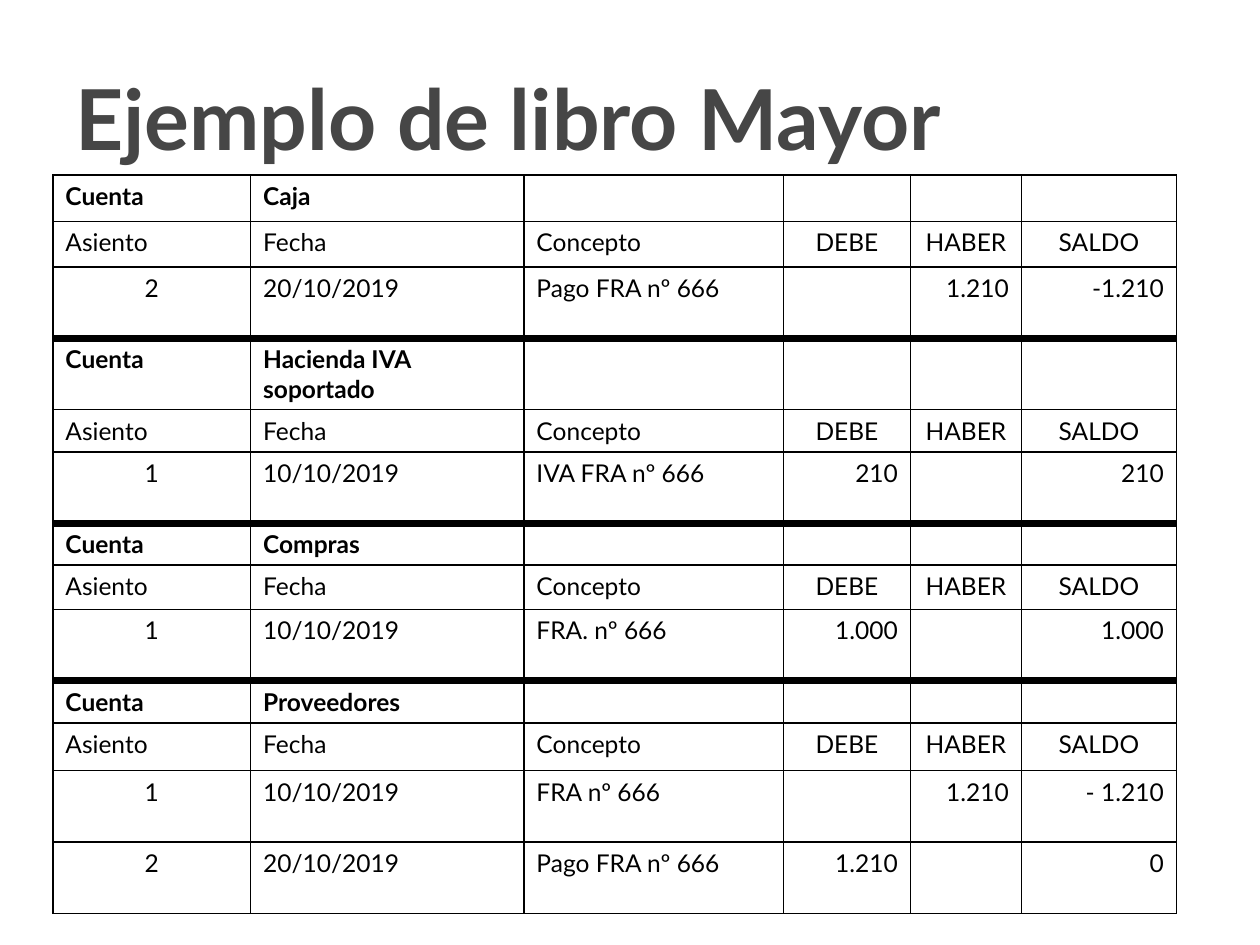
from lxml.etree import SubElement
from pptx import Presentation
from pptx.dml.color import RGBColor
from pptx.enum.text import MSO_ANCHOR as Anchor, PP_ALIGN as Align
from pptx.oxml import parse_xml
from pptx.oxml.ns import nsdecls, qn
from pptx.util import Pt

FONT = "Lato"
BLACK = RGBColor(0x00, 0x00, 0x00)
WHITE = RGBColor(0xFF, 0xFF, 0xFF)
GRAY = RGBColor(0x46, 0x46, 0x46)

THIN, THICK = 1, 4.5
TEXT_SIZE = 14
COLUMN_WIDTHS = [113, 156.2, 148.3, 72.7, 63.4, 88.6]
TALL = 40.8
HEADINGS = ["Asiento", "Fecha", "Concepto", "DEBE", "HABER", "SALDO"]
HEADING_ALIGNS = [Align.LEFT] * 3 + [Align.CENTER] * 3
ENTRY_ALIGNS = [Align.CENTER] + [Align.LEFT] * 2 + [Align.RIGHT] * 3

# account name, heights of its name and heading rows, entries
ACCOUNTS = [
    ("Caja", 26.5, 26, [["2", "20/10/2019", "Pago FRA nº 666", "", "1.210", "-1.210"]]),
    ("Hacienda IVA soportado", TALL, 24,
     [["1", "10/10/2019", "IVA FRA nº 666", "210", "", "210"]]),
    ("Compras", 24, 25.2, [["1", "10/10/2019", "FRA. nº 666", "1.000", "", "1.000"]]),
    ("Proveedores", 24, 27.4,
     [["1", "10/10/2019", "FRA nº 666", "", "1.210", "- 1.210"],
      ["2", "20/10/2019", "Pago FRA nº 666", "1.210", "", "0"]]),
]


def style_font(font, size, color, bold):
    font.name = FONT
    font.size = Pt(size)
    font.bold = bold
    font.color.rgb = color


def add_title(slide, text):
    shape = slide.shapes.add_textbox(Pt(36), Pt(21.6), Pt(648), Pt(90))
    frame = shape.text_frame
    frame.word_wrap = True
    frame.vertical_anchor = Anchor.MIDDLE
    paragraph = frame.paragraphs[0]
    paragraph.text = text
    style_font(paragraph.font, 48, GRAY, True)


def set_borders(cell, top, bottom):
    properties = cell._tc.get_or_add_tcPr()
    widths = {"lnL": THIN, "lnR": THIN, "lnT": top, "lnB": bottom}
    for position, (side, width) in enumerate(widths.items()):
        properties.insert(position, parse_xml(
            f'<a:{side} {nsdecls("a")} w="{Pt(width)}"><a:solidFill>'
            f'<a:srgbClr val="{BLACK}"/></a:solidFill></a:{side}>'))


def fill_cell(cell, text, align, bold, top, bottom):
    cell.fill.solid()
    cell.fill.fore_color.rgb = WHITE
    set_borders(cell, top, bottom)
    paragraph = cell.text_frame.paragraphs[0]
    paragraph.text = text
    paragraph.alignment = align
    style_font(paragraph.font, TEXT_SIZE, BLACK, bold)
    if not text:
        SubElement(paragraph._p, qn("a:endParaRPr"), sz=str(TEXT_SIZE * 100))


def ledger_rows():
    rows = []
    for index, (name, name_height, heading_height, entries) in enumerate(ACCOUNTS):
        top = THICK if index else THIN
        last_bottom = THICK if index < len(ACCOUNTS) - 1 else THIN
        rows.append((["Cuenta", name] + [""] * 4, [Align.LEFT] * 6, True, name_height, top, THIN))
        rows.append((HEADINGS, HEADING_ALIGNS, False, heading_height, THIN, THIN))
        for entry in entries:
            bottom = last_bottom if entry is entries[-1] else THIN
            rows.append((entry, ENTRY_ALIGNS, False, TALL, THIN, bottom))
    return rows


def add_ledger(slide):
    rows = ledger_rows()
    height = sum(row[3] for row in rows)
    table = slide.shapes.add_table(
        len(rows), len(COLUMN_WIDTHS), Pt(30.2), Pt(100), Pt(sum(COLUMN_WIDTHS)), Pt(height)).table
    table.first_row = False
    table.horz_banding = False
    for column, width in zip(table.columns, COLUMN_WIDTHS):
        column.width = Pt(width)
    for row, (texts, aligns, bold, row_height, top, bottom) in zip(table.rows, rows):
        row.height = Pt(row_height)
        for cell, text, align in zip(row.cells, texts, aligns):
            fill_cell(cell, text, align, bold, top, bottom)


def main():
    presentation = Presentation()
    presentation.slide_width = Pt(720)
    presentation.slide_height = Pt(540)
    slide = presentation.slides.add_slide(presentation.slide_layouts[6])
    add_title(slide, "Ejemplo de libro Mayor")
    add_ledger(slide)
    presentation.save("out.pptx")


if __name__ == "__main__":
    main()
